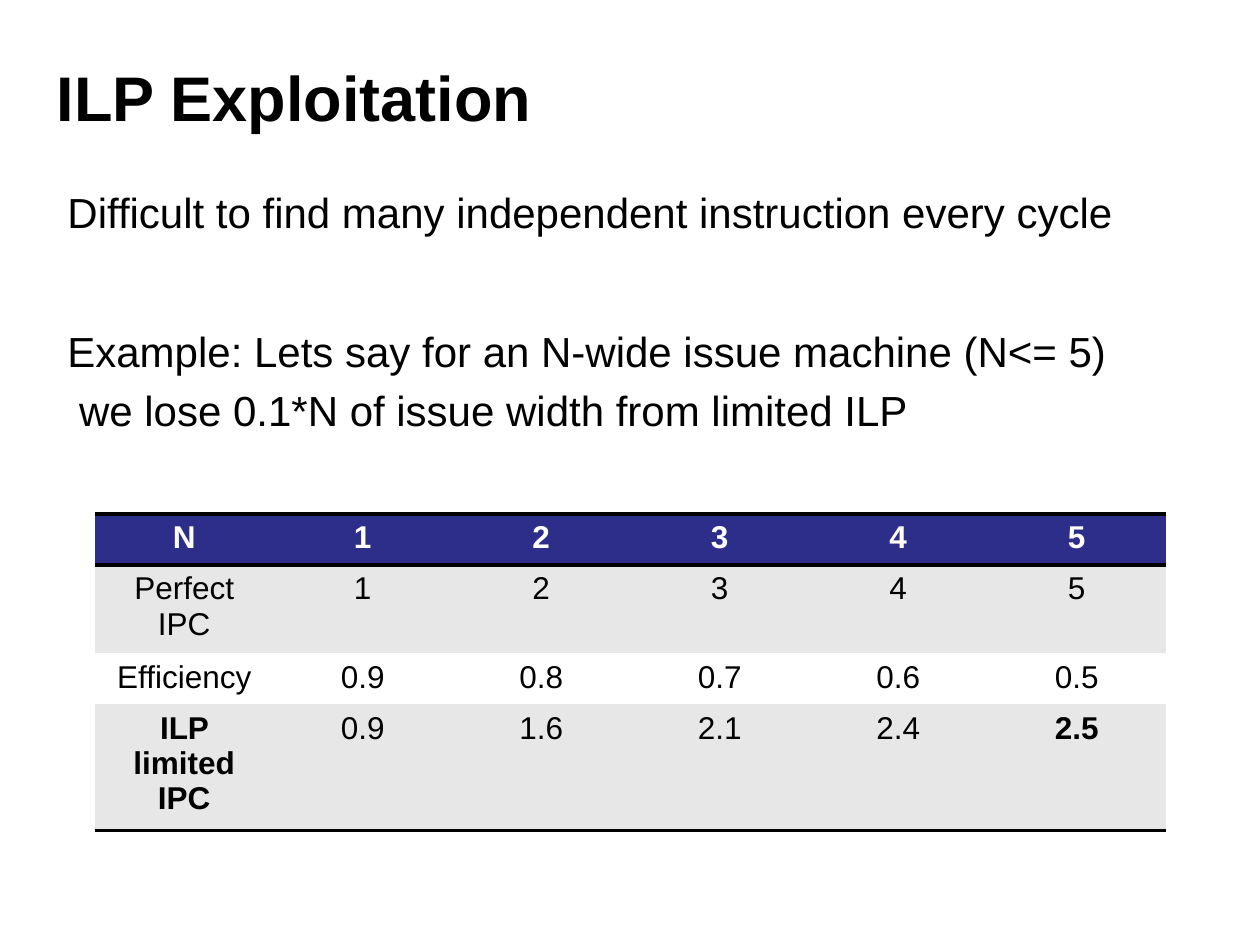
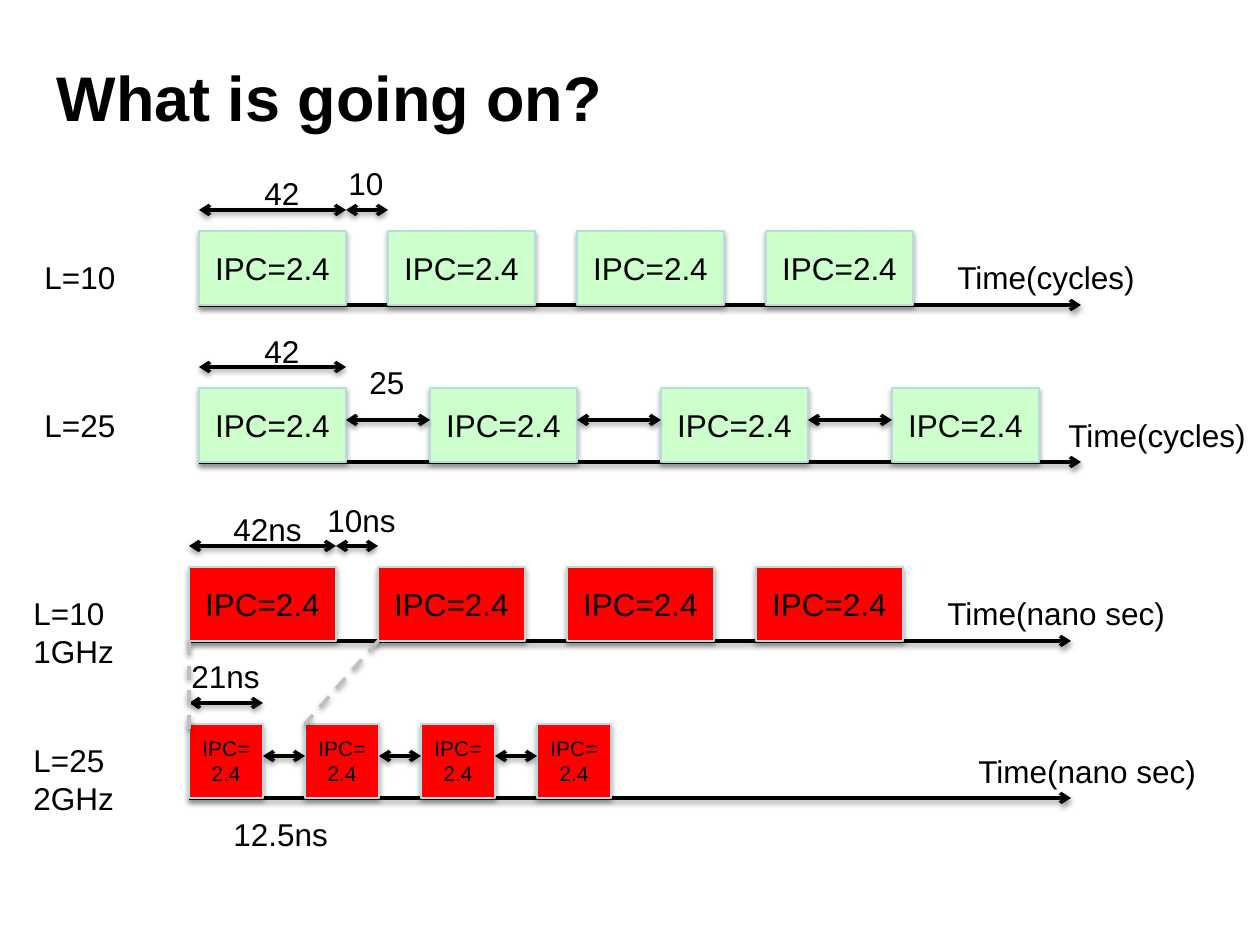
from lxml import etree
from pptx import Presentation
from pptx.dml.color import RGBColor
from pptx.enum.dml import MSO_LINE
from pptx.enum.shapes import MSO_CONNECTOR, MSO_SHAPE
from pptx.enum.text import MSO_ANCHOR, PP_ALIGN
from pptx.oxml.ns import qn
from pptx.util import Pt

LEFT, CENTER = PP_ALIGN.LEFT, PP_ALIGN.CENTER
MIDDLE = MSO_ANCHOR.MIDDLE
RECTANGLE = MSO_SHAPE.RECTANGLE
STRAIGHT = MSO_CONNECTOR.STRAIGHT
DASH = MSO_LINE.DASH

PIXEL = 914400 / 126
FONT = "Arial"
BLACK, WHITE, NAVY, BAND = "000000", "FFFFFF", "2D2D8A", "E7E7E7"
GREEN, RED, BOX_EDGE, GRAY = "CCFFCC", "FF0000", "B6DCDF", "BFBFBF"
NO_STYLE = "{2D5ABB26-0587-4C30-8999-92F81FD0307C}"


def color(value):
    """Turn a hex string into a colour."""
    return RGBColor.from_string(value)


def px(*lengths):
    """Turn pixel lengths into a list of EMU lengths."""
    return [round(length * PIXEL) for length in lengths]


presentation = Presentation()
presentation.slide_width, presentation.slide_height = px(1260, 945)
title_only = presentation.slide_layouts[5]
text_jobs = []      # (text frame, size, bold, colour, alignment)
shadow_jobs = []    # (shape, distance in EMU, opacity in percent)

# Both slides and their titles
slides = []
for title_text in ("ILP Exploitation", "What is going on?"):
    slide = presentation.slides.add_slide(title_only)
    title = slide.shapes.title
    title.left, title.top, title.width, title.height = px(44, 44, 1134, 105)
    title.text_frame.text = title_text
    title.text_frame.vertical_anchor = MIDDLE
    text_jobs.append((title.text_frame, 36, True, BLACK, LEFT))
    slides.append(slide)
table_slide, timeline_slide = slides

# Slide 1: statements, each with its space before in points
statements = [
    ("Difficult to find many independent instruction every cycle", 4.8),
    ("Example: Lets say for an N-wide issue machine (N<= 5)", 51),
    (" we lose 0.1*N of issue width from limited ILP", 4.8),
]
body = table_slide.shapes.add_textbox(*px(55, 180, 1150, 270)).text_frame
body.word_wrap = True
body.text = "\n".join(text for text, space in statements)
for paragraph, (text, space) in zip(body.paragraphs, statements):
    paragraph.space_before = Pt(space)
text_jobs.append((body, 24, False, BLACK, LEFT))

# Slide 1: issue width table
rows = [
    ["N", "1", "2", "3", "4", "5"],
    ["Perfect IPC", "1", "2", "3", "4", "5"],
    ["Efficiency", "0.9", "0.8", "0.7", "0.6", "0.5"],
    ["ILP limited\nIPC", "0.9", "1.6", "2.1", "2.4", "2.5"],
]
row_heights = [51, 83, 51, 118]
row_fills = [NAVY, BAND, WHITE, BAND]
row_borders = [("lnT", "lnB"), (), (), ("lnB",)]
bold_cells = {(3, 0), (3, 5)}

frame = table_slide.shapes.add_table(
    len(rows), len(rows[0]), *px(95, 514, 1071, sum(row_heights)))
table = frame.table
table.horz_banding = False
frame.element.find(".//" + qn("a:tableStyleId")).text = NO_STYLE
for row_index, row in enumerate(rows):
    table.rows[row_index].height = px(row_heights[row_index])[0]
    for column_index, text in enumerate(row):
        cell = table.cell(row_index, column_index)
        cell.text = text
        cell.fill.solid()
        cell.fill.fore_color.rgb = color(row_fills[row_index])
        header = row_index == 0
        bold = header or (row_index, column_index) in bold_cells
        text_jobs.append((cell.text_frame, 18, bold,
                          WHITE if header else BLACK, CENTER))
        properties = cell._tc.get_or_add_tcPr()
        for position, side in enumerate(row_borders[row_index]):
            border = etree.Element(qn("a:" + side), w=str(Pt(2)))
            fill = etree.SubElement(border, qn("a:solidFill"))
            etree.SubElement(fill, qn("a:srgbClr"), val=BLACK)
            properties.insert(position, border)

# Slide 2: timelines of four boxes; labels are (text, left, top, width)
BOX_COUNT, BOX_HEIGHT, AXIS_LENGTH = 4, 74, 882
timelines = [
    dict(left=199, axis=305, width=147, gap=42, fill=GREEN, size=18,
         all_gaps=False,
         labels=[("42", 252, 168, 60), ("10", 336, 158, 60),
                 ("Time(cycles)", 945, 252, 204), ("L=10", 32, 252, 97)]),
    dict(left=199, axis=462, width=147, gap=84, fill=GREEN, size=18,
         all_gaps=True,
         labels=[("42", 252, 326, 60), ("25", 357, 357, 60),
                 ("Time(cycles)", 1056, 410, 204), ("L=25", 32, 400, 97)]),
    dict(left=189, axis=641, width=147, gap=42, fill=RED, size=18,
         all_gaps=False,
         labels=[("42ns", 221, 504, 94), ("10ns", 315, 495, 94),
                 ("Time(nano sec)", 935, 588, 246),
                 ("L=10\n1GHz", 21, 588, 107)]),
    dict(left=189, axis=798, width=74, gap=42, fill=RED, size=12,
         all_gaps=True,
         labels=[("21ns", 179, 651, 94), ("12.5ns", 221, 809, 121),
                 ("Time(nano sec)", 966, 746, 246),
                 ("L=25\n2GHz", 21, 735, 107)]),
]
axes, arrows = [], []
for timeline in timelines:
    left, axis, width = timeline["left"], timeline["axis"], timeline["width"]
    top = axis - BOX_HEIGHT
    pitch = width + timeline["gap"]
    axes.append((left, axis, left + AXIS_LENGTH, axis))
    arrows.append((left, top - 21, left + width, top - 21))
    gap_count = BOX_COUNT - 1 if timeline["all_gaps"] else 1
    gap_y = top + 32 if timeline["all_gaps"] else top - 21
    for index in range(gap_count):
        start = left + index * pitch
        arrows.append((start + width, gap_y, start + pitch, gap_y))

# The axes lie behind the boxes, the arrows and scaling guides in front
guides = [(378, 641, 305, 724), (189, 641, 189, 735)]
line_groups = [
    (axes, BLACK, None, ["tailEnd"]),
    (arrows, BLACK, None, ["headEnd", "tailEnd"]),
    (guides, GRAY, DASH, []),
]
for group_index, (lines, line_color, dash, ends) in enumerate(line_groups):
    for points in lines:
        connector = timeline_slide.shapes.add_connector(STRAIGHT, *px(*points))
        connector.line.color.rgb = color(line_color)
        connector.line.width = Pt(2)
        if dash:
            connector.line.dash_style = dash
        outline = connector.element.spPr.find(qn("a:ln"))
        for end in ends:
            etree.SubElement(outline, qn("a:" + end), type="arrow")
        shadow_jobs.append((connector, 20000, 38))
    if group_index > 0:
        continue
    for timeline in timelines:
        pitch = timeline["width"] + timeline["gap"]
        for index in range(BOX_COUNT):
            box = timeline_slide.shapes.add_shape(RECTANGLE, *px(
                timeline["left"] + index * pitch,
                timeline["axis"] - BOX_HEIGHT, timeline["width"], BOX_HEIGHT))
            box.fill.solid()
            box.fill.fore_color.rgb = color(timeline["fill"])
            box.line.color.rgb = color(BOX_EDGE)
            box.line.width = Pt(0.75)
            box.text_frame.text = "IPC=2.4"
            box.text_frame.vertical_anchor = MIDDLE
            text_jobs.append(
                (box.text_frame, timeline["size"], False, BLACK, CENTER))
            shadow_jobs.append((box, 23000, 35))

for timeline in timelines:
    for text, left, top, width in timeline["labels"]:
        height = 51 + 38 * text.count("\n")
        label = timeline_slide.shapes.add_textbox(*px(left, top, width, height))
        label.text_frame.word_wrap = False
        label.text_frame.text = text
        text_jobs.append((label.text_frame, 18, False, BLACK, LEFT))

# Soft shadows below boxes and lines
for shape, distance, opacity in shadow_jobs:
    effects = etree.SubElement(shape.element.spPr, qn("a:effectLst"))
    shadow = etree.SubElement(
        effects, qn("a:outerShdw"), blurRad="40000", dist=str(distance),
        dir="5400000", rotWithShape="0")
    shade = etree.SubElement(shadow, qn("a:srgbClr"), val=BLACK)
    etree.SubElement(shade, qn("a:alpha"), val=str(opacity * 1000))

# Text formats
for text_frame, size, bold, text_color, alignment in text_jobs:
    font_format = {"name": FONT, "size": Pt(size), "bold": bold}
    for paragraph in text_frame.paragraphs:
        paragraph.alignment = alignment
        for run in paragraph.runs:
            for attribute, value in font_format.items():
                setattr(run.font, attribute, value)
            run.font.color.rgb = color(text_color)

presentation.save("out.pptx")
